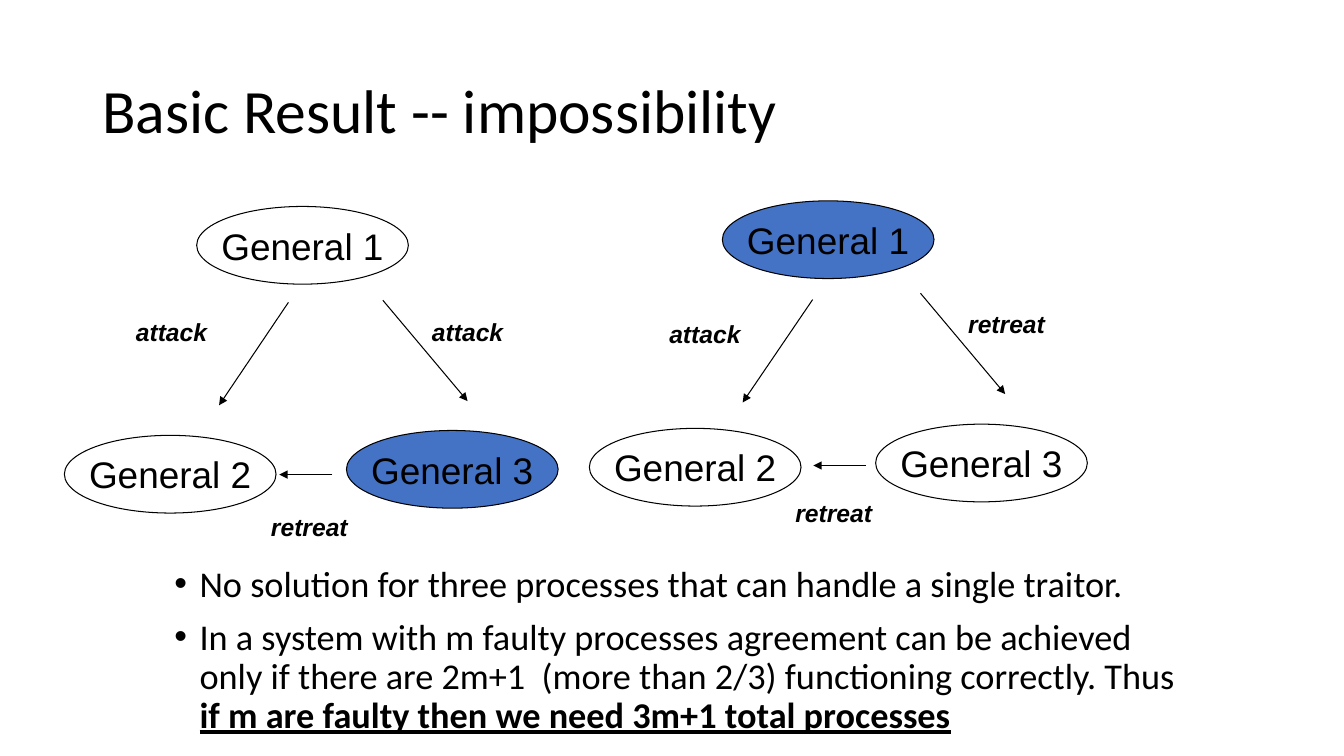
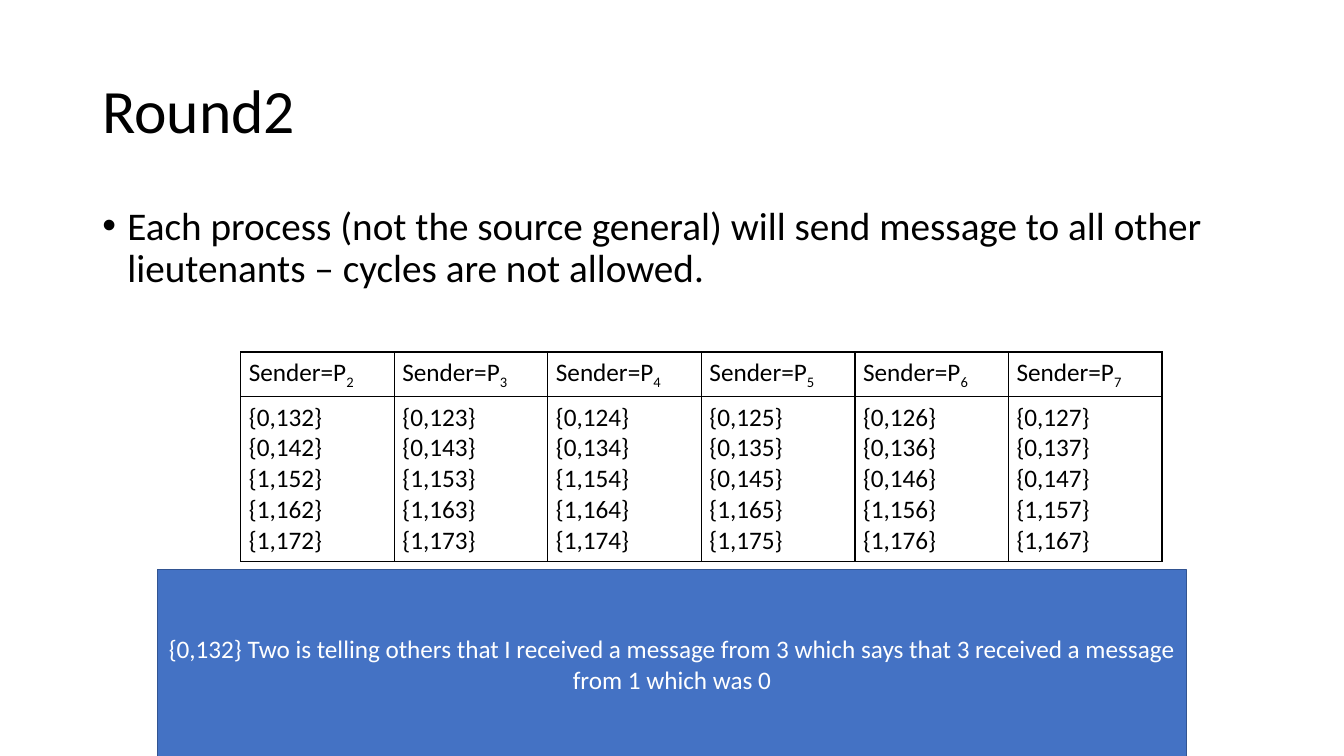
from lxml import etree
from pptx import Presentation
from pptx.dml.color import RGBColor
from pptx.enum.shapes import MSO_CONNECTOR, MSO_SHAPE
from pptx.enum.text import MSO_ANCHOR, PP_ALIGN
from pptx.oxml.ns import qn
from pptx.util import Pt

OVAL, RECT = MSO_SHAPE.OVAL, MSO_SHAPE.RECTANGLE
STRAIGHT = MSO_CONNECTOR.STRAIGHT
TOP, MIDDLE = MSO_ANCHOR.TOP, MSO_ANCHOR.MIDDLE
CENTER = PP_ALIGN.CENTER

BLACK = RGBColor(0x00, 0x00, 0x00)
WHITE = RGBColor(0xFF, 0xFF, 0xFF)
BLUE = RGBColor(0x44, 0x72, 0xC4)
DARK_BLUE = RGBColor(0x32, 0x54, 0x91)

TITLE = dict(name="Calibri", size=Pt(44))
RESULT = dict(name="Calibri", size=Pt(25.9))
KEY_RESULT = dict(RESULT, bold=True, underline=True)
POINT = dict(name="Calibri", size=Pt(28))
SMALL = dict(name="Calibri", size=Pt(18))
NODE = dict(name="Arial", size=Pt(26.4))
ORDER = dict(name="Arial", size=Pt(17.6), bold=True, italic=True)

TITLE_BOX = (66, 28.8, 828, 104.4)
NODE_W, NODE_H = 151.2, 55.5
INDENT = 18

# Each diagram: generals (left, top) in order, the traitor's number,
# arrows (from x, from y, to x, to y) and orders (left, top, text).
DIAGRAMS = [
    dict(
        generals=[(140.5, 147.5), (46, 311), (247.5, 307.5)],
        traitor=3,
        arrows=[(206, 216, 156.5, 289.5), (273.5, 214.5, 334, 286.5), (237.5, 339, 199.5, 339)],
        orders=[(90, 223, "attack"), (301.5, 222.5, "attack"), (186.5, 362, "retreat")],
    ),
    dict(
        generals=[(516, 143.5), (421, 306), (625.5, 303)],
        traitor=1,
        arrows=[(580.5, 214, 530.5, 287.5), (657.5, 209.5, 718, 281.5), (618.5, 332.5, 581, 332.5)],
        orders=[(471, 224, "attack"), (684.5, 217, "retreat"), (561, 352, "retreat")],
    ),
]
RESULTS = [
    [("No solution for three processes that can handle a single traitor.", RESULT)],
    [("In a system with m faulty processes agreement can be achieved only if there are "
      "2m+1  (more than 2/3) functioning correctly. Thus ", RESULT),
     ("if m are faulty then we need 3m+1 total processes", KEY_RESULT)],
]
ROUND_POINTS = [[("Each process (not the source general) will send message to all other "
                  "lieutenants – cycles are not allowed.", POINT)]]
LIEUTENANTS = range(2, 8)
LAST_TOLD_ZERO = 4
EXAMPLE = ("{0,132} Two is telling others that I received a message from 3 which says "
           "that 3 received a message from 1 which was 0")


def pts(*values):
    return [Pt(v) for v in values]


def add_run(p, text, style, color=BLACK):
    r = p.add_run()
    r.text = text
    for name, value in style.items():
        setattr(r.font, name, value)
    r.font.color.rgb = color
    return r


def add_text(s, box, text, style, anchor=TOP, spacing=1.0):
    tf = s.shapes.add_textbox(*pts(*box)).text_frame
    tf.word_wrap = True
    tf.vertical_anchor = anchor
    p = tf.paragraphs[0]
    p.line_spacing = spacing
    add_run(p, text, style)


def add_bullets(s, box, points):
    tf = s.shapes.add_textbox(*pts(*box)).text_frame
    tf.word_wrap = True
    for i, runs in enumerate(points):
        p = tf.add_paragraph() if i else tf.paragraphs[0]
        p.line_spacing = 0.9
        p.space_before = Pt(10)
        pPr = p._p.get_or_add_pPr()
        pPr.set("marL", str(Pt(INDENT)))
        pPr.set("indent", str(-Pt(INDENT)))
        etree.SubElement(pPr, qn("a:buFont")).set("typeface", "Arial")
        etree.SubElement(pPr, qn("a:buChar")).set("char", "•")
        for text, style in runs:
            add_run(p, text, style)


def add_label_shape(s, kind, box, text, style, fill, line, width, color=BLACK, wrap=True):
    sp = s.shapes.add_shape(kind, *pts(*box))
    sp.shadow.inherit = False
    if fill is None:
        sp.fill.background()
    else:
        sp.fill.solid()
        sp.fill.fore_color.rgb = fill
    sp.line.color.rgb = line
    sp.line.width = Pt(width)
    tf = sp.text_frame
    tf.word_wrap = wrap
    tf.vertical_anchor = MIDDLE
    tf.paragraphs[0].alignment = CENTER
    add_run(tf.paragraphs[0], text, style, color)


def add_arrow(s, ends):
    arrow = s.shapes.add_connector(STRAIGHT, *pts(*ends))
    arrow.line.color.rgb = BLACK
    arrow.line.width = Pt(0.75)
    etree.SubElement(arrow.line._get_or_add_ln(), qn("a:tailEnd")).set("type", "triangle")
    etree.SubElement(arrow._element.spPr, qn("a:effectLst"))


def add_diagram(s, generals, traitor, arrows, orders):
    for number, (x, y) in enumerate(generals, 1):
        add_label_shape(s, OVAL, (x, y, NODE_W, NODE_H), f"General {number}", NODE,
                        BLUE if number == traitor else None, BLACK, 0.75, wrap=False)
    for ends in arrows:
        add_arrow(s, ends)
    for x, y, text in orders:
        add_text(s, (x, y, 102, 29), text, ORDER)


def format_cell(cell):
    cell.fill.background()
    cell.vertical_anchor = MIDDLE
    cell.margin_left = cell.margin_right = Pt(5.76)
    cell.margin_top = cell.margin_bottom = Pt(3.6)
    tcPr = cell._tc.get_or_add_tcPr()
    for i, side in enumerate(("lnL", "lnR", "lnT", "lnB")):
        ln = etree.Element(qn(f"a:{side}"), w=str(Pt(1)))
        fill = etree.SubElement(ln, qn("a:solidFill"))
        etree.SubElement(fill, qn("a:srgbClr")).set("val", str(BLACK))
        tcPr.insert(i, ln)


def messages_from(sender):
    """Relayed values, each with its route: general 1, a lieutenant, the sender."""
    return [f"{{{int(via > LAST_TOLD_ZERO)},1{via}{sender}}}"
            for via in LIEUTENANTS if via != sender]


def add_message_table(s):
    frame = s.shapes.add_table(2, len(LIEUTENANTS), *pts(172, 251.5, 658.2, 149.5))
    table = frame.table
    table.first_row = table.horz_banding = False
    for row, height in zip(table.rows, (32, 117.5)):
        row.height = Pt(height)
    for col, sender in enumerate(LIEUTENANTS):
        table.columns[col].width = Pt(109.7)
        head, body = table.cell(0, col), table.cell(1, col)
        format_cell(head)
        format_cell(body)
        p = head.text_frame.paragraphs[0]
        add_run(p, "Sender=P", SMALL)
        add_run(p, str(sender), SMALL).font._element.set("baseline", "-25000")
        tf = body.text_frame
        for i, message in enumerate(messages_from(sender)):
            p = tf.add_paragraph() if i else tf.paragraphs[0]
            add_run(p, message, SMALL)


def add_titled_slide(prs, title):
    s = prs.slides.add_slide(prs.slide_layouts[6])
    add_text(s, TITLE_BOX, title, TITLE, MIDDLE, 0.9)
    return s


def main():
    prs = Presentation()
    prs.slide_width, prs.slide_height = pts(960, 540)

    s = add_titled_slide(prs, "Basic Result -- impossibility")
    add_bullets(s, (117.5, 400.5, 734.5, 139.5), RESULTS)
    for diagram in DIAGRAMS:
        add_diagram(s, **diagram)

    s = add_titled_slide(prs, "Round2")
    add_bullets(s, (66, 144, 828, 342.5), ROUND_POINTS)
    add_message_table(s)
    add_label_shape(s, RECT, (112.5, 407, 735, 134.5), EXAMPLE, SMALL, BLUE, DARK_BLUE, 1, WHITE)

    prs.save("out.pptx")


if __name__ == "__main__":
    main()
